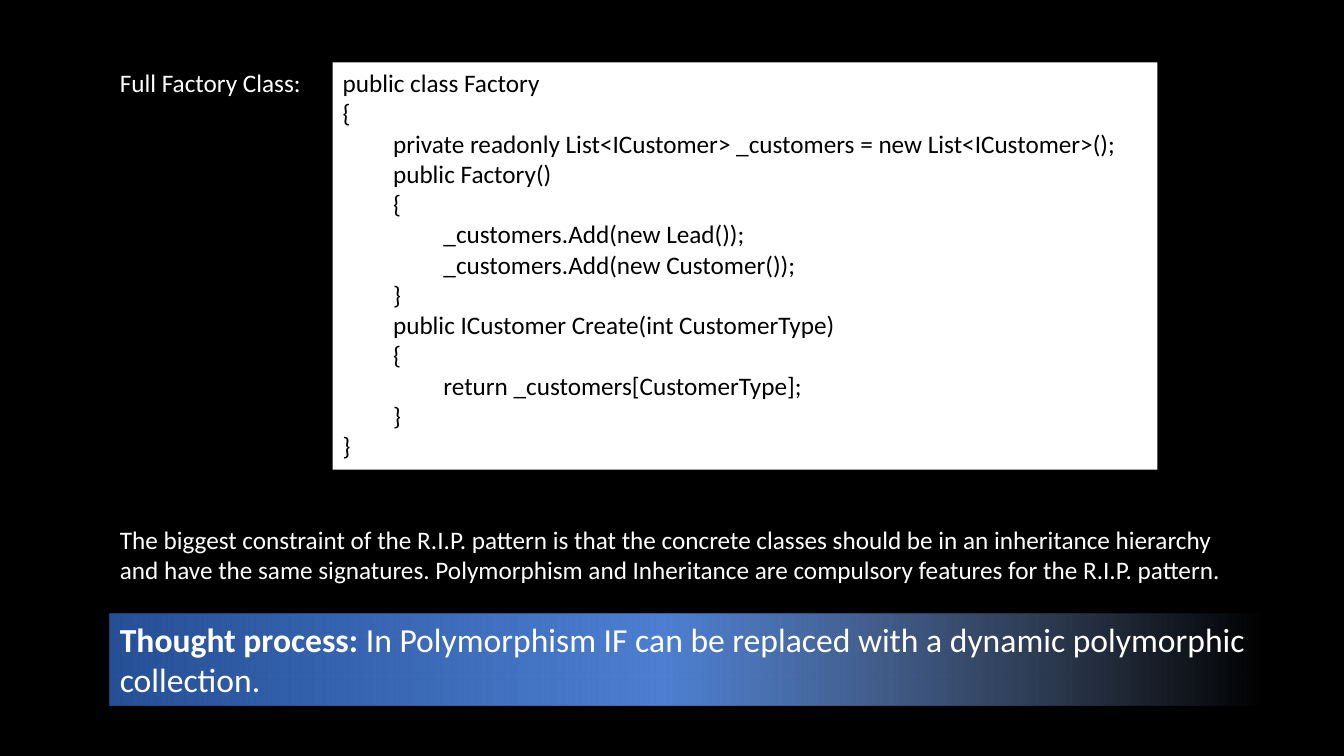
from lxml import etree
from pptx import Presentation
from pptx.dml.color import RGBColor
from pptx.enum import shapes, text
from pptx.oxml import ns
from pptx.util import Inches, Pt

LABEL = "Full Factory Class:"
CODE = [  # (indent level, line)
    (0, "public class Factory"),
    (0, "{"),
    (1, "private readonly List<ICustomer> _customers = new List<ICustomer>();"),
    (1, "public Factory()"),
    (1, "{"),
    (2, "_customers.Add(new Lead());"),
    (2, "_customers.Add(new Customer());"),
    (1, "}"),
    (1, "public ICustomer Create(int CustomerType)"),
    (1, "{"),
    (2, "return _customers[CustomerType];"),
    (1, "}"),
    (0, "}"),
]
CONSTRAINT = (
    "The biggest constraint of the R.I.P. pattern is that the concrete classes "
    "should be in an inheritance hierarchy and have the same signatures. "
    "Polymorphism and Inheritance are compulsory features for the R.I.P. pattern."
)
THOUGHT = [("Thought process: ", True),
           ("In Polymorphism IF can be replaced with a dynamic polymorphic collection.", False)]

THEME = {
    "font": "Calibri",
    "body": 18,
    "callout": 24,
    "dark": "000000",
    "light": "FFFFFF",
    # (position %, colour, opacity %)
    "gradient": [(0, "265096", 100), (48, "4D7FD2", 100), (100, "91B0E3", 0)],
}
LEFT, TOP = 1.09, 0.62
INDENT = 0.5


def add_box(slide, left, top, width, height, lines, size, color, wrap=True, filled=False):
    """Add a text box or a rectangle; each line is (indent level, [(text, bold), ...])."""
    area = [Inches(value) for value in (left, top, width, height)]
    if filled:
        shape = slide.shapes.add_shape(shapes.MSO_SHAPE.RECTANGLE, *area)
        shape.shadow.inherit = False
        shape.line.fill.background()
    else:
        shape = slide.shapes.add_textbox(*area)
    frame = shape.text_frame
    frame.word_wrap = wrap
    frame.auto_size = text.MSO_AUTO_SIZE.SHAPE_TO_FIT_TEXT
    frame.vertical_anchor = text.MSO_ANCHOR.TOP
    for index, (level, runs) in enumerate(lines):
        paragraph = frame.add_paragraph() if index else frame.paragraphs[0]
        paragraph.alignment = text.PP_ALIGN.LEFT
        paragraph.font.name = THEME["font"]
        paragraph.font.size = Pt(size)
        paragraph.font.color.rgb = RGBColor.from_string(color)
        paragraph._p.get_or_add_pPr().set("marL", str(Inches(level * INDENT)))
        for words, bold in runs:
            run = paragraph.add_run()
            run.text = words
            if bold:
                run.font.bold = True
    return shape


def fill_gradient(shape, stops):
    shape.fill.gradient()
    shape.fill.gradient_angle = 0
    stop_list = shape._element.spPr.find(".//" + ns.qn("a:gsLst"))
    for stop in list(stop_list):
        stop_list.remove(stop)
    for position, color, opacity in stops:
        stop = etree.SubElement(stop_list, ns.qn("a:gs"), pos=str(position * 1000))
        value = etree.SubElement(stop, ns.qn("a:srgbClr"), val=color)
        if opacity < 100:
            etree.SubElement(value, ns.qn("a:alpha"), val=str(opacity * 1000))


def main():
    presentation = Presentation()
    presentation.slide_width, presentation.slide_height = Inches(13.33), Inches(7.5)
    slide = presentation.slides.add_slide(presentation.slide_layouts[6])
    slide.background.fill.solid()
    slide.background.fill.fore_color.rgb = RGBColor.from_string(THEME["dark"])

    code_lines = [(level, [(line, False)]) for level, line in CODE]
    code = add_box(slide, 3.3, TOP, 8.18, 4.04, code_lines,
                   THEME["body"], THEME["dark"], filled=True)
    code.fill.solid()
    code.fill.fore_color.rgb = RGBColor.from_string(THEME["light"])

    add_box(slide, LEFT, TOP, 2.02, 0.4, [(0, [(LABEL, False)])],
            THEME["body"], THEME["light"], wrap=False)
    add_box(slide, LEFT, 5.15, 11.28, 0.71, [(0, [(CONSTRAINT, False)])],
            THEME["body"], THEME["light"])
    callout = add_box(slide, LEFT, 6.09, 11.41, 0.91, [(0, THOUGHT)],
                      THEME["callout"], THEME["light"], filled=True)
    fill_gradient(callout, THEME["gradient"])

    presentation.save("out.pptx")


if __name__ == "__main__":
    main()
